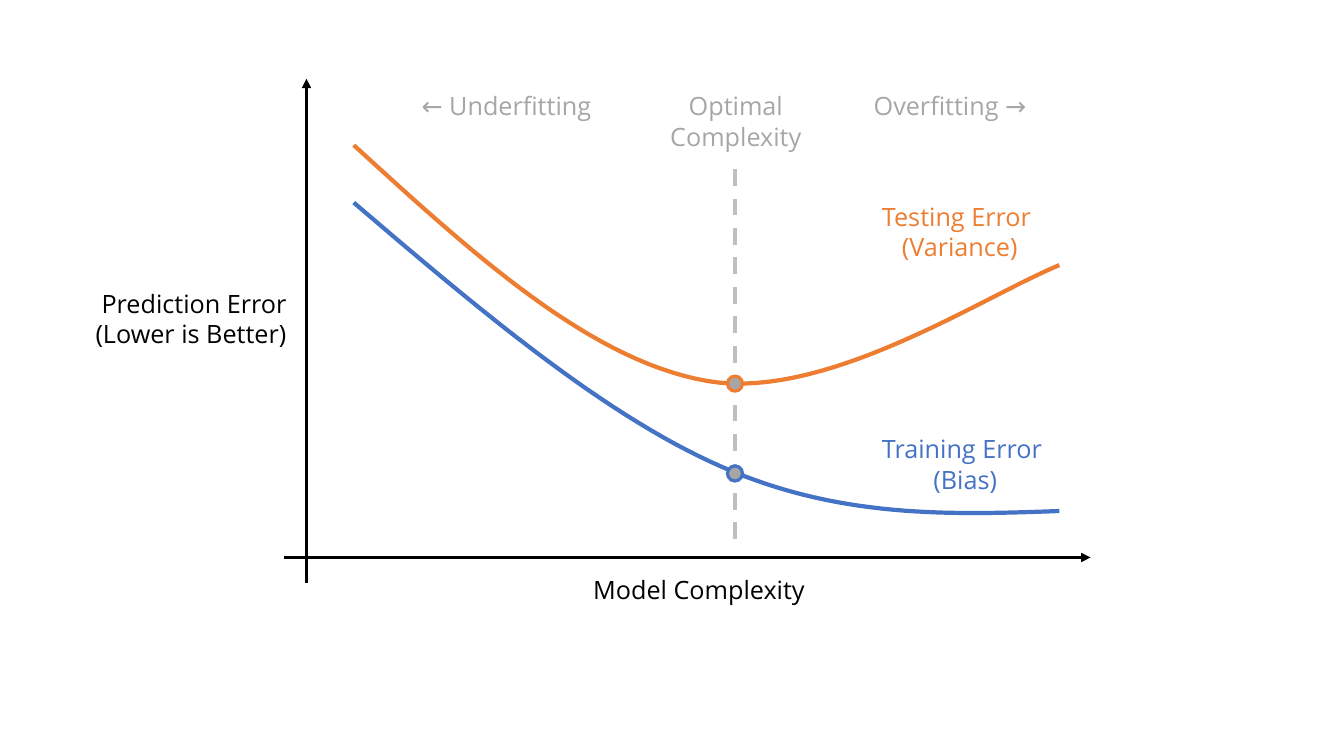
from lxml.etree import SubElement
from pptx import Presentation
from pptx.dml.color import RGBColor
from pptx.enum.dml import MSO_LINE
from pptx.enum.shapes import MSO_CONNECTOR, MSO_SHAPE
from pptx.enum.text import MSO_ANCHOR, MSO_AUTO_SIZE, PP_ALIGN
from pptx.oxml.ns import qn
from pptx.util import Pt

COLORS = {"axis": "000000", "guide": "BFBFBF", "note": "A6A6A6",
          "testing": "ED7D31", "training": "4472C4"}
FONT = "Open Sans"
OPTIMUM_X = 525
DOT_SIZE = 10.8
CURVE_STEPS = 30

# start, end, colour, width, dashed, arrow
LINES = [
    ((OPTIMUM_X, 385.2), (OPTIMUM_X, 115.9), "guide", 3, True, False),
    ((218.9, 416.2), (218.9, 56.2), "axis", 2.25, False, True),
    ((203, 398.2), (779, 398.2), "axis", 2.25, False, True),
]

# Cubic Bézier chains: a start point, then two controls and an end per segment
CURVES = {
    "testing": [(252.7, 103.7), (337, 180.7), (421.2, 257.8), (505.4, 272.2),
                (589.7, 286.6), (701.3, 212.4), (756.7, 189.4)],
    "training": [(252.7, 144.7), (342, 221), (431.3, 296.6), (515.5, 333.4),
                 (599, 370.1), (677.5, 367.9), (756.7, 365)],
}
DOT_CENTERS = {"testing": 274, "training": 338.2}

# text, (left, top, width, height), format
LABELS = [
    ("Prediction Error (Lower is Better)", (59.8, 56.2, 151.9, 342.7),
     dict(color="axis", align=PP_ALIGN.RIGHT, anchor=MSO_ANCHOR.MIDDLE, grow=False)),
    ("Model Complexity", (218.9, 406.8, 560.9, 29), dict(color="axis")),
    ("Testing Error \n(Variance)", (621.4, 140.4, 128.2, 51),
     dict(color="testing", wrap=False)),
    ("Training Error \n(Bias)", (621.4, 306.2, 136.1, 51),
     dict(color="training", wrap=False)),
    ("Optimal\vComplexity", (470.9, 61.2, 109.4, 51), dict(color="note", wrap=False)),
    ("Overfitting →", (617, 61.2, 136.8, 29), dict(color="note", align=PP_ALIGN.LEFT)),
    ("← Underfitting ", (249.8, 61.2, 184.3, 29), dict(color="note", align=PP_ALIGN.RIGHT)),
]


def rgb(name):
    return RGBColor.from_string(COLORS[name])


def style_line(shape, color, width):
    shape.line.color.rgb = rgb(color)
    shape.line.width = Pt(width)


def add_line(slide, start, end, color, width, dashed, arrow):
    connector = slide.shapes.add_connector(
        MSO_CONNECTOR.STRAIGHT, *(Pt(value) for value in start + end))
    style_line(connector, color, width)
    if dashed:
        connector.line.dash_style = MSO_LINE.DASH
    properties = connector.element.spPr
    if arrow:
        SubElement(properties.find(qn("a:ln")), qn("a:tailEnd"), type="triangle")
    SubElement(properties, qn("a:effectLst"))


def bezier_point(controls, t):
    weights = ((1 - t) ** 3, 3 * t * (1 - t) ** 2, 3 * t ** 2 * (1 - t), t ** 3)
    return tuple(Pt(sum(weight * value for weight, value in zip(weights, axis)))
                 for axis in zip(*controls))


def add_curve(slide, chain, color):
    points = [bezier_point(chain[first:first + 4], step / CURVE_STEPS)
              for first in range(0, len(chain) - 1, 3)
              for step in range(1, CURVE_STEPS + 1)]
    builder = slide.shapes.build_freeform(*(Pt(value) for value in chain[0]))
    builder.add_line_segments(points, close=False)
    curve = builder.convert_to_shape()
    curve.fill.background()
    curve.shadow.inherit = False
    style_line(curve, color, 3)


def add_dot(slide, center_y, color):
    dot = slide.shapes.add_shape(
        MSO_SHAPE.OVAL, Pt(OPTIMUM_X - DOT_SIZE / 2), Pt(center_y - DOT_SIZE / 2),
        Pt(DOT_SIZE), Pt(DOT_SIZE))
    dot.fill.solid()
    dot.fill.fore_color.rgb = rgb("note")
    dot.shadow.inherit = False
    style_line(dot, color, 2.25)


def add_label(slide, text, box, color, align=PP_ALIGN.CENTER,
              anchor=MSO_ANCHOR.TOP, wrap=True, grow=True, size=18):
    frame = slide.shapes.add_textbox(*(Pt(value) for value in box)).text_frame
    frame.text = text
    frame.word_wrap = wrap
    frame.vertical_anchor = anchor
    frame.auto_size = MSO_AUTO_SIZE.SHAPE_TO_FIT_TEXT if grow else MSO_AUTO_SIZE.NONE
    for paragraph in frame.paragraphs:
        paragraph.alignment = align
        for run in paragraph.runs:
            run.font.name = FONT
            run.font.size = Pt(size)
            run.font.color.rgb = rgb(color)


def main():
    presentation = Presentation()
    presentation.slide_width, presentation.slide_height = Pt(960), Pt(540)
    slide = presentation.slides.add_slide(presentation.slide_layouts[6])
    for line in LINES:
        add_line(slide, *line)
    for color, chain in CURVES.items():
        add_curve(slide, chain, color)
    for text, box, style in LABELS:
        add_label(slide, text, box, **style)
    for color, center_y in DOT_CENTERS.items():
        add_dot(slide, center_y, color)
    presentation.save("out.pptx")


if __name__ == "__main__":
    main()
